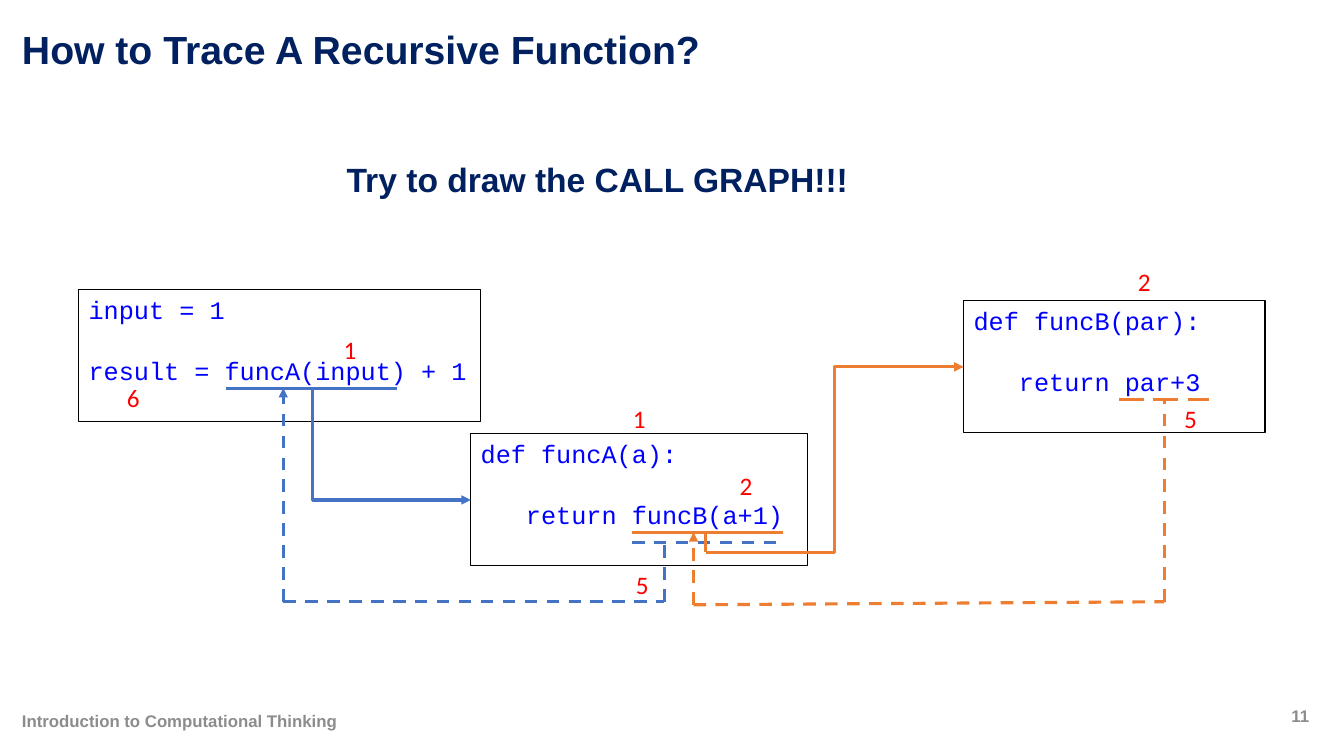
from collections import namedtuple
from dataclasses import dataclass

from lxml import etree
from pptx import Presentation
from pptx.dml.color import RGBColor
from pptx.enum.dml import MSO_LINE
from pptx.enum.shapes import MSO_CONNECTOR, MSO_SHAPE
from pptx.enum.text import MSO_ANCHOR, PP_ALIGN
from pptx.oxml.ns import qn
from pptx.util import Inches, Pt

TOP, MIDDLE = MSO_ANCHOR.TOP, MSO_ANCHOR.MIDDLE
LEFT, CENTER = PP_ALIGN.LEFT, PP_ALIGN.CENTER
STRAIGHT, ELBOW = MSO_CONNECTOR.STRAIGHT, MSO_CONNECTOR.ELBOW
DASH, LONG_DASH = MSO_LINE.DASH, MSO_LINE.LONG_DASH
RECTANGLE = MSO_SHAPE.RECTANGLE

Box = namedtuple("Box", "x y w h")
Style = namedtuple("Style", "font size color bold")


@dataclass(frozen=True)
class Theme:
    title: Style = Style("Arial", 28, "002060", True)
    heading: Style = Style("Arial", 24, "002060", True)
    footer: Style = Style("Arial", 12, "8C8C8C", True)
    code: Style = Style("Courier New", 18, "0000FF", False)
    value: Style = Style("Calibri", 18, "FF0000", False)
    paper: str = "FFFFFF"
    border: str = "000000"
    call_a: str = "4472C4"
    call_b: str = "ED7D31"
    border_width: float = 1
    line_width: float = 2.25
    code_gap: float = 22


THEME = Theme()

# Grid of tenths of an inch: 133.3 columns by 75 rows
COLUMNS, ROWS = 133.33, 75
INDENT = 4.5  # three code characters
MAIN = Box(7.8, 28.7, 39.9, 13.1)
FUNC_A = Box(46.7, 43, 33.4, 13.1)
FUNC_B = Box(95.6, 29.8, 29.9, 13.1)
UNDERLINE = 9.8  # rows from the top of a code box
ENTRY = 6.6  # rows down to where a call enters a box


def grid(cells):
    return Inches(cells / 10)


def rgb(color):
    return RGBColor.from_string(color)


def format_text(paragraph, style):
    for run in paragraph.runs:
        run.font.name = style.font
        run.font.size = Pt(style.size)
        run.font.bold = style.bold
        run.font.color.rgb = rgb(style.color)


def add_text(slide, box, text, style, anchor=TOP, align=LEFT, spacing=1.0):
    frame = slide.shapes.add_textbox(*map(grid, box)).text_frame
    frame.word_wrap = True
    frame.vertical_anchor = anchor
    frame.text = text
    paragraph = frame.paragraphs[0]
    paragraph.alignment = align
    paragraph.line_spacing = spacing
    format_text(paragraph, style)


def add_line(slide, start, end, color, dash=None, arrow=False, bend=None):
    kind = STRAIGHT if bend is None else ELBOW
    connector = slide.shapes.add_connector(kind, *map(grid, (*start, *end)))
    connector.line.color.rgb = rgb(color)
    connector.line.width = Pt(THEME.line_width)
    if dash is not None:
        connector.line.dash_style = dash
    properties = connector._element.spPr
    if arrow:
        etree.SubElement(properties.find(qn("a:ln")), qn("a:tailEnd"), type="triangle")
    if bend is not None:
        guides = properties.find(qn("a:prstGeom")).find(qn("a:avLst"))
        etree.SubElement(guides, qn("a:gd"), name="adj1", fmla=f"val {round(bend * 100000)}")
    etree.SubElement(properties, qn("a:effectLst"))


def within(box, column, row):
    return box.x + column, box.y + row


def underline(slide, box, first, last, color, row=UNDERLINE, dash=None):
    add_line(slide, within(box, first, row), within(box, last, row), color, dash)


def code_box(slide, box, lines, indent=0):
    """Two lines of code set apart; the second may be indented."""
    panel = slide.shapes.add_shape(RECTANGLE, *map(grid, box))
    panel.shadow.inherit = False
    panel.fill.solid()
    panel.fill.fore_color.rgb = rgb(THEME.paper)
    panel.line.color.rgb = rgb(THEME.border)
    panel.line.width = Pt(THEME.border_width)
    frame = panel.text_frame
    frame.word_wrap = True
    frame.vertical_anchor = TOP
    frame.text = "\n".join(lines)
    for paragraph in frame.paragraphs:
        paragraph.alignment = LEFT
        format_text(paragraph, THEME.code)
    body = frame.paragraphs[1]
    body.space_before = Pt(THEME.code_gap)
    body._p.get_or_add_pPr().set("marL", str(grid(indent)))


def values(slide, box, marks):
    for text, column, row in marks:
        add_text(slide, Box(*within(box, column, row), 4.6, 4), text, THEME.value)


def return_path(slide, source, target, color, left_floor, right_floor):
    """Dashed route: down from the source, across, and up to the target."""
    right, left = (source[0], right_floor), (target[0], left_floor)
    add_line(slide, right, source, color, DASH)
    add_line(slide, left, right, color, DASH)
    add_line(slide, left, target, color, DASH, arrow=True)


def header(slide, box):
    add_text(slide, box._replace(h=6.8), "How to Trace A Recursive Function?",
             THEME.title, MIDDLE, spacing=0.9)
    add_text(slide, Box(box.x + 32.2, box.y + 13.6, 66.6, 5),
             "Try to draw the CALL GRAPH!!!", THEME.heading)


def footer(slide, box):
    add_text(slide, Box(box.x, box.y + 0.5, 82.4, 4),
             "Introduction to Computational Thinking", THEME.footer, MIDDLE)
    add_text(slide, Box(box.x + box.w - 4.8, box.y, 4.8, 4), "11",
             THEME.footer, MIDDLE, CENTER)


def call_graph(slide, main, func_a, func_b):
    # Code
    code_box(slide, main, ["input = 1", "result = funcA(input) + 1"])
    code_box(slide, func_a, ["def funcA(a):", "return funcB(a+1)"], INDENT)
    code_box(slide, func_b, ["def funcB(par):", "return par+3"], INDENT)

    # Underlined calls and results
    underline(slide, main, 14.6, 31.6, THEME.call_a)
    underline(slide, func_a, 16, 31, THEME.call_b)
    underline(slide, func_a, 16, 31, THEME.call_a, UNDERLINE + 1, DASH)
    underline(slide, func_b, 15.4, 24.3, THEME.call_b, dash=LONG_DASH)

    # Calls
    add_line(slide, within(main, 23.1, UNDERLINE), within(func_a, 0, ENTRY),
             THEME.call_a, arrow=True, bend=0.007)
    b_exit = within(func_a, 23.3, UNDERLINE + 2)
    add_line(slide, within(func_a, 23.3, UNDERLINE), b_exit, THEME.call_b)
    add_line(slide, b_exit, within(func_b, 0, ENTRY), THEME.call_b, arrow=True, bend=0.5)

    # Returns
    return_path(slide, within(func_b, 19.9, UNDERLINE), within(func_a, 22.1, UNDERLINE),
                THEME.call_b, 60, 59.7)
    return_path(slide, within(func_a, 19.2, UNDERLINE + 1), within(main, 20.3, UNDERLINE),
                THEME.call_a, 59.7, 59.7)

    # Traced values
    values(slide, main, [("1", 25.3, 4), ("6", 3.8, 8.7)])
    values(slide, func_a, [("1", 15.1, -3.5), ("2", 25.7, 3.2), ("5", 15.4, 13)])
    values(slide, func_b, [("2", 16.3, -3.9), ("5", 20.9, 9.7)])


def main():
    deck = Presentation()
    deck.slide_width, deck.slide_height = grid(COLUMNS), grid(ROWS)
    slide = deck.slides.add_slide(deck.slide_layouts[6])
    header(slide, Box(1.2, 1.7, 127, 18.6))
    call_graph(slide, MAIN, FUNC_A, FUNC_B)
    footer(slide, Box(1.2, 69, 130.2, 4.5))
    deck.save("out.pptx")


if __name__ == "__main__":
    main()
